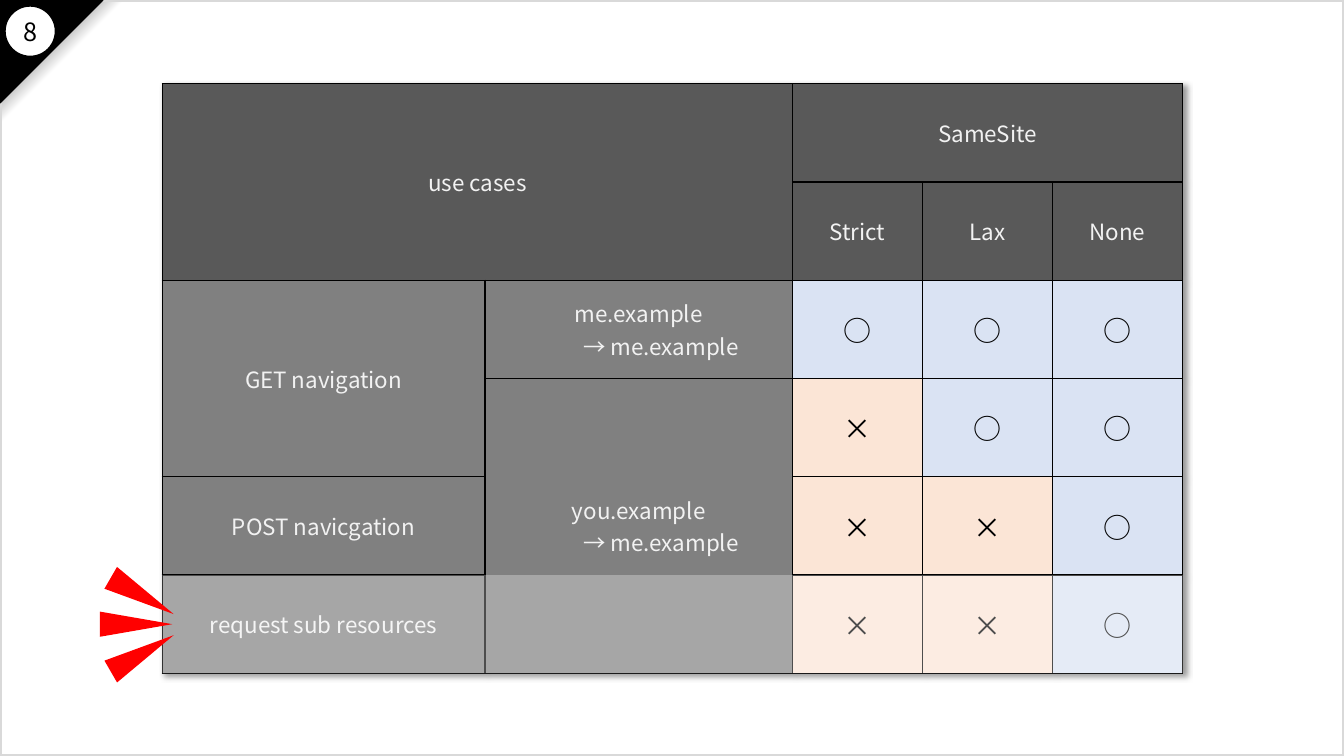
from lxml.etree import SubElement
from pptx import Presentation
from pptx.dml.color import RGBColor
from pptx.enum.shapes import MSO_SHAPE
from pptx.enum.text import MSO_ANCHOR, PP_ALIGN
from pptx.oxml import parse_xml
from pptx.oxml.ns import nsdecls, qn
from pptx.util import Inches, Pt

FONT = "Noto Sans CJK JP"
COLORS = {
    "black": "000000", "white": "FFFFFF", "frame": "D9D9D9", "gray": "808080",
    "header": "595959", "label": "F2F2F2", "allowed": "DAE3F3",
    "blocked": "FBE5D6", "ray": "FF0000",
}
COL_WIDTHS = [3.2, 3.05, 1.29, 1.29, 1.29]
ROW_HEIGHT = 0.975
# row, column, rows spanned, columns spanned, lines, fill
LABELS = [
    (0, 0, 2, 2, ["use cases"], "header"),
    (0, 2, 1, 3, ["SameSite"], "header"),
    (1, 2, 1, 1, ["Strict"], "header"),
    (1, 3, 1, 1, ["Lax"], "header"),
    (1, 4, 1, 1, ["None"], "header"),
    (2, 0, 2, 1, ["GET navigation"], "gray"),
    (4, 0, 1, 1, ["POST navicgation"], "gray"),
    (5, 0, 1, 1, ["request sub resources"], "gray"),
    (2, 1, 1, 1, ["me.example", "→ me.example"], "gray"),
    (3, 1, 3, 1, ["you.example", "→ me.example"], "gray"),
]
RESULTS = ["○○○", "×○○", "××○", "××○"]


def rgb(name):
    return RGBColor.from_string(COLORS[name])


def add_run(p, text, size, color):
    p.alignment = PP_ALIGN.CENTER
    r = p.add_run()
    r.text = text
    r.font.size = Pt(size)
    r.font.name = FONT
    r.font.color.rgb = rgb(color)
    SubElement(r.font._element, qn("a:ea"), typeface=FONT)


def add_shape(shapes, kind, box, fill=None, line=None, width=1, rotation=0):
    sp = shapes.add_shape(kind, *map(Inches, box))
    sp.shadow.inherit = False
    sp.rotation = rotation
    if fill:
        sp.fill.solid()
        sp.fill.fore_color.rgb = rgb(fill)
    else:
        sp.fill.background()
    if line:
        sp.line.color.rgb = rgb(line)
        sp.line.width = Pt(width)
    else:
        sp.line.fill.background()
    return sp


def add_backdrop(s, width, height):
    """Soft corner shade and the frame round the page."""
    shade = add_shape(s.shapes, MSO_SHAPE.RIGHT_TRIANGLE, (0, 0, 1.23, 1.23), rotation=90)
    shade.fill.gradient()
    grad = shade._element.spPr.find(qn("a:gradFill"))
    stops = [(0, "white"), (50, "white"), (70, "gray"), (100, "black")]
    gs = "".join(f'<a:gs pos="{pos * 1000}"><a:srgbClr val="{COLORS[c]}"/></a:gs>'
                 for pos, c in stops)
    grad.getparent().replace(grad, parse_xml(
        f'<a:gradFill {nsdecls("a")} rotWithShape="1"><a:gsLst>{gs}</a:gsLst>'
        '<a:lin ang="8100000" scaled="0"/></a:gradFill>'))
    add_shape(s.shapes, MSO_SHAPE.RECTANGLE, (0, 0, width, height), line="frame", width=3)


def style_cell(cell, fill):
    cell.vertical_anchor = MSO_ANCHOR.MIDDLE
    cell.fill.solid()
    cell.fill.fore_color.rgb = rgb(fill)
    tc_pr = cell._tc.get_or_add_tcPr()
    for i, side in enumerate("LRTB"):
        tc_pr.insert(i, parse_xml(
            f'<a:ln{side} {nsdecls("a")} w="12700"><a:solidFill>'
            f'<a:srgbClr val="{COLORS["black"]}"/></a:solidFill></a:ln{side}>'))


def add_samesite_table(s, left, top):
    rows = 2 + len(RESULTS)
    table = s.shapes.add_table(rows, len(COL_WIDTHS), Inches(left), Inches(top),
                               Inches(sum(COL_WIDTHS)), Inches(ROW_HEIGHT * rows)).table
    table.first_row = table.horz_banding = False
    table._tbl.tblPr.insert(0, parse_xml(
        f'<a:effectLst {nsdecls("a")}><a:outerShdw blurRad="50800" dist="38100" '
        f'dir="2700000" algn="tl"><a:srgbClr val="{COLORS["black"]}">'
        '<a:alpha val="40000"/></a:srgbClr></a:outerShdw></a:effectLst>'))
    for col, width in zip(table.columns, COL_WIDTHS):
        col.width = Inches(width)
    for row in table.rows:
        row.height = Inches(ROW_HEIGHT)

    for r, c, row_span, col_span, lines, fill in LABELS:
        for i in range(r, r + row_span):
            for j in range(c, c + col_span):
                style_cell(table.cell(i, j), fill)
        cell = table.cell(r, c)
        if row_span * col_span > 1:
            cell.merge(table.cell(r + row_span - 1, c + col_span - 1))
        tf = cell.text_frame
        for i, line in enumerate(lines):
            p = tf.add_paragraph() if i else tf.paragraphs[0]
            if i:
                p._p.get_or_add_pPr().set("marL", str(Pt(32)))
            add_run(p, line, 16, "label")

    for r, marks in enumerate(RESULTS, 2):
        for c, mark in enumerate(marks, 2):
            cell = table.cell(r, c)
            style_cell(cell, "allowed" if mark == "○" else "blocked")
            add_run(cell.text_frame.paragraphs[0], mark, 20, "black")


def add_page_number(s, number):
    add_shape(s.shapes, MSO_SHAPE.RIGHT_TRIANGLE, (0, 0, 1.02, 1.02),
              "black", "black", rotation=90)
    add_shape(s.shapes, MSO_SHAPE.OVAL, (0.05, 0.06, 0.5, 0.5), "white", "black")
    box = s.shapes.add_textbox(Inches(0.12), Inches(0.11), Inches(0.36), Inches(0.4))
    box.text_frame.word_wrap = False
    add_run(box.text_frame.paragraphs[0], number, 18, "black")


def add_row_highlight(s, left, top, width, height):
    """Pale veil over a row, with three rays pointing at its left end."""
    veil = add_shape(s.shapes, MSO_SHAPE.RECTANGLE, (left, top, width, height), "white")
    color = veil._element.spPr.find(qn("a:solidFill"))[0]
    SubElement(color, qn("a:alpha"), val="30000")
    rays = s.shapes.add_group_shape()
    ray_w, ray_h = 0.25, 0.72
    middle = top + height / 2
    for rotation, dx, dy in [(90, -0.26, 0), (60, -0.2, 0.29), (120, -0.2, -0.28)]:
        add_shape(rays.shapes, MSO_SHAPE.ISOSCELES_TRIANGLE,
                  (left + dx - ray_w / 2, middle + dy - ray_h / 2, ray_w, ray_h),
                  "ray", rotation=rotation)


def main():
    prs = Presentation()
    prs.slide_width, prs.slide_height = Inches(13.33), Inches(7.5)
    s = prs.slides.add_slide(prs.slide_layouts[6])
    left, top = 1.61, 0.83
    add_backdrop(s, 13.33, 7.5)
    add_samesite_table(s, left, top)
    add_page_number(s, "8")
    add_row_highlight(s, left, top + 5 * ROW_HEIGHT, sum(COL_WIDTHS), ROW_HEIGHT)
    prs.save("out.pptx")


if __name__ == "__main__":
    main()
